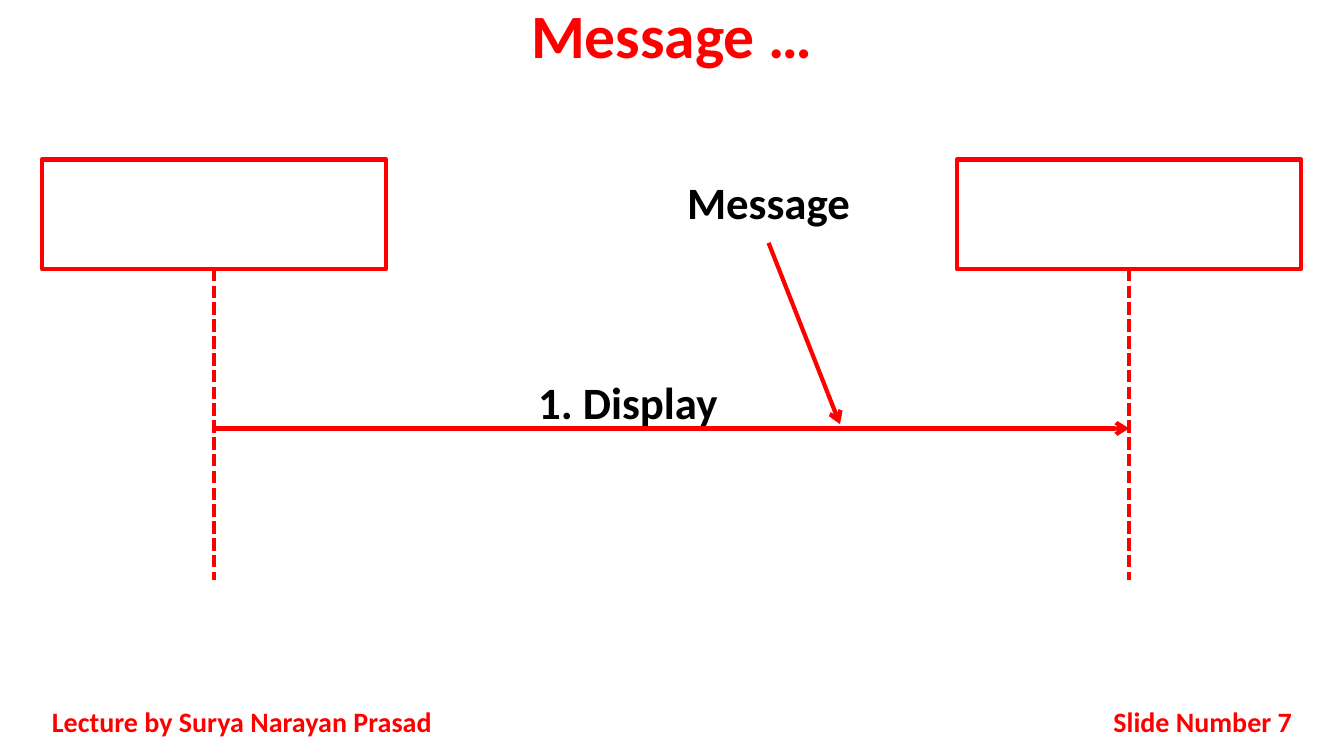
from dataclasses import dataclass
from lxml.etree import SubElement
from pptx import Presentation
from pptx.dml.color import RGBColor
from pptx.enum.dml import MSO_LINE
from pptx.enum.shapes import MSO_CONNECTOR, MSO_SHAPE
from pptx.enum.text import MSO_ANCHOR, PP_ALIGN
from pptx.oxml.ns import qn
from pptx.util import Pt


@dataclass(frozen=True)
class Theme:
    """Colours, font and sizes of the slide."""
    red: RGBColor = RGBColor(255, 0, 0)
    black: RGBColor = RGBColor(0, 0, 0)
    white: RGBColor = RGBColor(255, 255, 255)
    font: str = "Calibri"
    title: int = 44
    label: int = 32
    foot: int = 20
    line: int = 3


THEME = Theme()


def write(shape, text, size, color, align=PP_ALIGN.CENTER, anchor=MSO_ANCHOR.TOP):
    """Put one bold paragraph in a shape and return it."""
    frame = shape.text_frame
    frame.word_wrap = True
    frame.vertical_anchor = anchor
    para = frame.paragraphs[0]
    para.text = text
    para.alignment = align
    font = para.font
    font.name, font.size, font.bold = THEME.font, Pt(size), True
    font.color.rgb = color
    return para


def add_text(slide, box, *args):
    """Add a text box and return its paragraph."""
    return write(slide.shapes.add_textbox(*map(Pt, box)), *args)


def add_box(slide, box, edge=True):
    """Add a white box with or without a red edge."""
    shape = slide.shapes.add_shape(MSO_SHAPE.RECTANGLE, *map(Pt, box))
    shape.shadow.inherit = False
    shape.fill.solid()
    shape.fill.fore_color.rgb = THEME.white
    if edge:
        shape.line.color.rgb = THEME.red
        shape.line.width = Pt(THEME.line)
    else:
        shape.line.fill.background()
    return shape


def add_line(slide, start, end, dash=None, arrow=False):
    """Draw a red line, dashed or with an arrowhead."""
    link = slide.shapes.add_connector(MSO_CONNECTOR.STRAIGHT, *map(Pt, start + end))
    link.line.color.rgb = THEME.red
    link.line.width = Pt(THEME.line)
    if dash:
        link.line.dash_style = dash
    if arrow:
        SubElement(link.line._get_or_add_ln(), qn("a:tailEnd"), type="arrow")
    SubElement(link._element.spPr, qn("a:effectLst"))


def add_title(slide, box):
    """Add the heading."""
    para = add_text(slide, box, "Message …", THEME.title, THEME.red)
    para.line_spacing = 0.9


def add_foot(slide, box):
    """Add the lecturer at the left and the slide number at the right."""
    left, top, width, high = box
    number = 198
    style = THEME.foot, THEME.red
    add_text(slide, (left, top, 300, high), "Lecture by Surya Narayan Prasad",
             *style, PP_ALIGN.JUSTIFY, MSO_ANCHOR.MIDDLE)
    add_text(slide, (left + width - number, top, number, high), "Slide Number 7",
             *style, PP_ALIGN.RIGHT, MSO_ANCHOR.MIDDLE)


def add_flow(slide, box):
    """Draw two objects with lifelines and the message between them."""
    left, top, width, high = box
    wide, tall = 246, 78
    ends = left, left + width - wide
    for x in ends:
        add_box(slide, (x, top, wide, tall))
    first, last = (x + wide / 2 for x in ends)
    for x in (first, last):
        add_line(slide, (x, top + tall), (x, top + high), dash=MSO_LINE.SQUARE_DOT)
    level = top + 192
    add_line(slide, (first, level), (last, level), arrow=True)
    add_text(slide, (left + wide, level - 42, 345, 46), "1. Display",
             THEME.label, THEME.black)


def add_note(slide, box):
    """Point from the word Message to the message arrow."""
    left, top, width, high = box
    tall, mid = 36, left + width / 2
    add_line(slide, (mid, top + tall + 11.5), (mid + 51, top + high), arrow=True)
    label = add_box(slide, (left, top, width, tall), edge=False)
    write(label, "Message", THEME.label, THEME.black, anchor=MSO_ANCHOR.MIDDLE)


def main():
    """Build and save the slide."""
    deck = Presentation()
    deck.slide_width, deck.slide_height = Pt(960), Pt(540)
    slide = deck.slides.add_slide(deck.slide_layouts[6])
    add_title(slide, (0, 0, 960, 60))
    add_foot(slide, (30, 500.5, 900, 29))
    add_flow(slide, (30, 114, 899.5, 300))
    add_note(slide, (426, 126, 246, 177))
    deck.save("out.pptx")


main()
